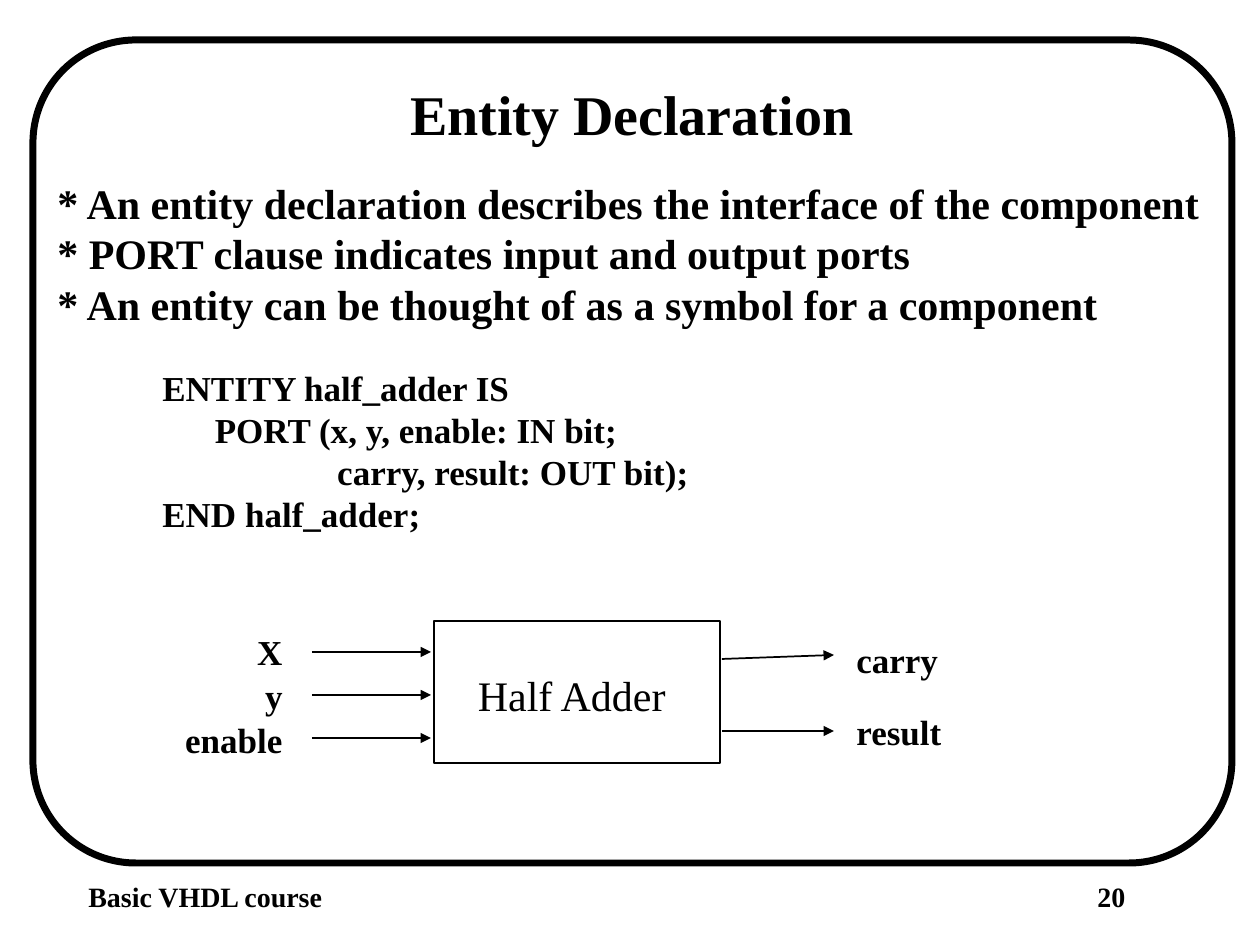
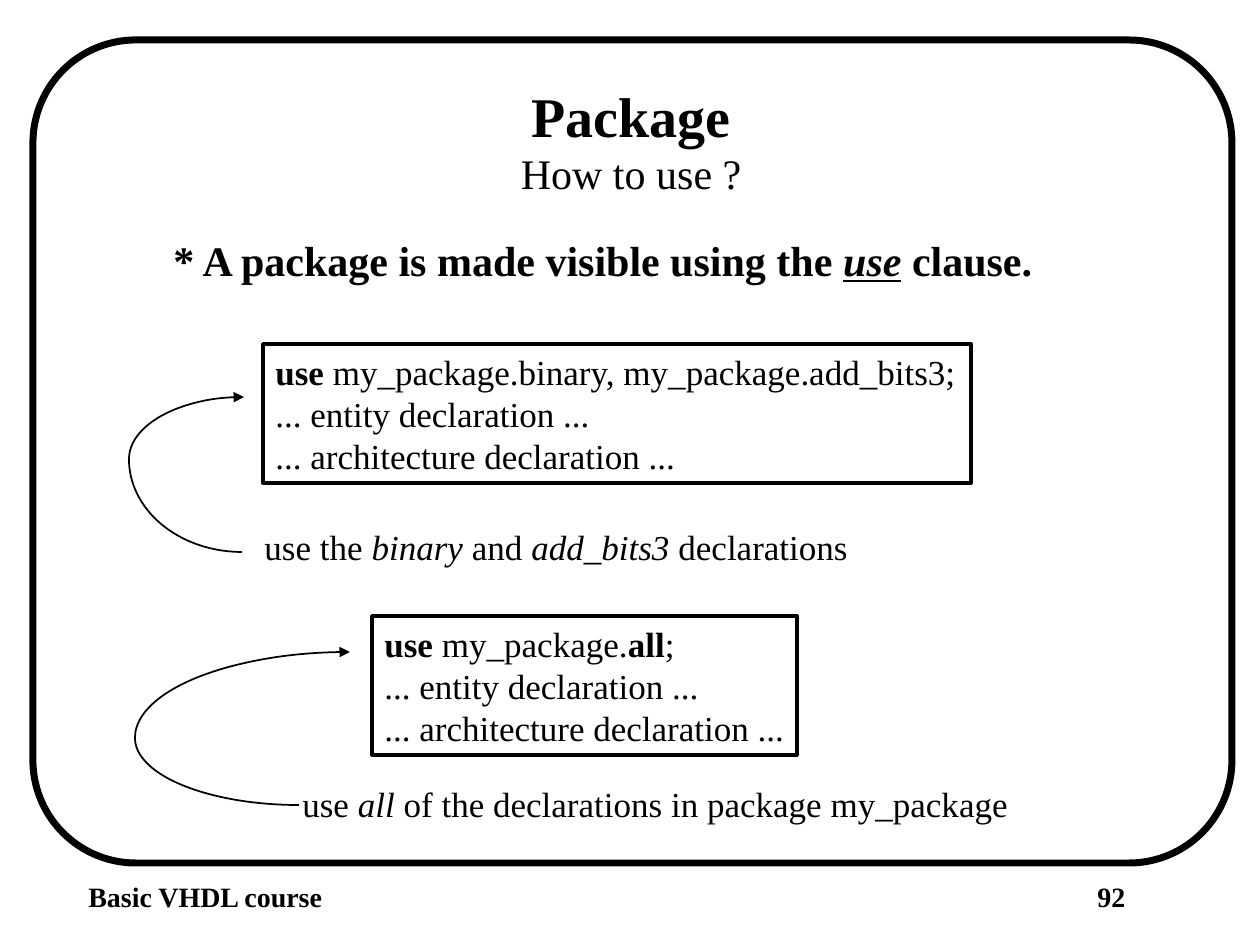
from pptx import Presentation, util as u
from pptx.dml.color import RGBColor
from pptx.enum import shapes, text
from pptx.oxml.ns import qn
from lxml import etree

# Content: a paragraph is a string or a list of (text, flags) runs
COURSE = "Basic VHDL course"
BULLETS = [
    "* An entity declaration describes the interface of the component",
    "* PORT clause indicates input and output ports",
    "* An entity can be thought of as a symbol for a component",
]
ENTITY_CODE = [
    "            ENTITY half_adder IS",
    "                  PORT (x, y, enable: IN bit;",
    "                                carry, result: OUT bit);",
    "            END half_adder;",
]
INPUTS = ["X", "y", "enable"]
OUTPUTS = [("carry", 659, 655), ("result", 731, 731)]  # arrow start and end y
VISIBLE = [[("* A package is made visible using the ", "b"), ("use", "biu"),
            (" clause.", "b")]]
DECLARATIONS = ["... entity declaration ...", "... architecture declaration ..."]
EXAMPLES = [
    dict(code=[("use", "b"), (" my_package.binary, my_package.add_bits3;", "")],
         code_box=(263, 344, 708, 139),
         note=[("use the ", ""), ("binary", "i"), (" and ", ""),
               ("add_bits3 ", "i"), ("declarations", "")],
         note_box=(252, 519, 609, 54),
         bend=(129, 459), tip=(244, 397), tail=(242, 552)),
    dict(code=[("use", "b"), (" my_package.", ""), ("all", "b"), (";", "")],
         code_box=(372, 616, 425, 139),
         note=[("use ", ""), ("all", "i"),
               (" of the declarations in package my_package", "")],
         note_box=(290, 776, 731, 54),
         bend=(135, 738), tip=(350, 652), tail=(299, 805)),
]

# Shared style
COLORS = {"ink": "000000"}
INK = RGBColor.from_string(COLORS["ink"])
FONT = "Times New Roman"
PX = 914400 / 126
TITLE_WIDTH, TITLE_HEIGHT = 800, 79
SHAPE = shapes.MSO_SHAPE
ALIGN = text.PP_ALIGN


def px(*values):
    return [u.Emu(round(v * PX)) for v in values]


def write(sp, paragraphs, size=20, bold=False, align=ALIGN.LEFT,
          anchor=text.MSO_ANCHOR.TOP, first=True, before=0):
    """Fill a shape, or extend it when first is False."""
    tf = sp.text_frame
    tf.word_wrap = False
    tf.auto_size = text.MSO_AUTO_SIZE.NONE
    tf.vertical_anchor = anchor
    for i, runs in enumerate(paragraphs):
        p = tf.paragraphs[0] if first and i == 0 else tf.add_paragraph()
        p.alignment = align
        p.space_before = u.Pt(before if i == 0 else 0)
        for words, flags in [(runs, "")] if isinstance(runs, str) else runs:
            r = p.add_run()
            r.text = words
            r.font.name, r.font.size = FONT, u.Pt(size)
            r.font.bold = bold or "b" in flags
            r.font.italic = "i" in flags
            r.font.underline = "u" in flags
            r.font.color.rgb = INK
    return sp


def label(s, box, paragraphs, **fmt):
    return write(s.shapes.add_textbox(*px(*box)), paragraphs, **fmt)


def outline(s, kind, box, weight):
    sp = s.shapes.add_shape(kind, *px(*box))
    sp.shadow.inherit = False
    sp.fill.background()
    sp.line.color.rgb = INK
    sp.line.width = u.Pt(weight)
    return sp


def arrowhead(sp):
    ln = sp.line._get_or_add_ln()
    etree.SubElement(ln, qn("a:tailEnd"), type="triangle")


def arrow(s, x1, y1, x2, y2):
    c = s.shapes.add_connector(shapes.MSO_CONNECTOR.STRAIGHT, *px(x1, y1, x2, y2))
    c.line.color.rgb = INK
    c.line.width = u.Pt(1)
    arrowhead(c)
    etree.SubElement(c._element.spPr, qn("a:effectLst"))


def quarter(s, bend, end):
    """Quarter ellipse from its leftmost point to its top or bottom point."""
    (x, y), (ex, ey) = bend, end
    rx, ry = ex - x, abs(ey - y)
    sp = outline(s, SHAPE.ARC, (x, y - ry, 2 * rx, 2 * ry), 1)
    start = 180 if ey < y else 90
    for i, degrees in enumerate((start, start + 90)):
        sp.adjustments[i] = degrees * 0.6  # 60000 units per degree, scaled by 100000
    return sp


def new_slide(prs, title, center, top, number):
    s = prs.slides.add_slide(prs.slide_layouts[5])
    frame = outline(s, SHAPE.ROUNDED_RECTANGLE, (33, 40, 1199, 823), 4)
    frame.adjustments[0] = 0.125
    label(s, (76, 873, 261, 45), [COURSE], size=16, bold=True)
    label(s, (1085, 873, 151, 45), [number], size=16, bold=True)
    t = s.shapes.title
    t.left, t.top, t.width, t.height = px(center - TITLE_WIDTH / 2, top,
                                          TITLE_WIDTH, TITLE_HEIGHT)
    write(t, [title], size=32, bold=True, align=ALIGN.CENTER)
    return s


def entity_slide(prs):
    s = new_slide(prs, "Entity Declaration", 632, 73, "20")
    body = label(s, (45, 171, 1169, 369), BULLETS, size=24, bold=True)
    write(body, ENTITY_CODE, bold=True, first=False, before=22)

    # Half adder symbol with its ports
    adder = outline(s, SHAPE.RECTANGLE, (434, 621, 286, 142), 1)
    write(adder, ["Half Adder"], size=24, align=ALIGN.CENTER,
          anchor=text.MSO_ANCHOR.MIDDLE)
    # Nudge the name slightly left and down inside the symbol
    adder.text_frame.margin_right, adder.text_frame.margin_top = px(23, 12)
    for i, name in enumerate(INPUTS):
        y = 652 + 43 * i
        label(s, (173, 624 + 44 * i, 122, 54), [name], bold=True, align=ALIGN.RIGHT)
        arrow(s, 312, y, 431, y)
    for name, y1, y2 in OUTPUTS:
        label(s, (844, y1 - 27, 111, 54), [name], bold=True)
        arrow(s, 722, y1, 834, y2)


def package_slide(prs):
    s = new_slide(prs, "Package", 631, 75, "92")
    label(s, (508, 141, 246, 63), ["How to use ?"], size=24, align=ALIGN.CENTER)
    label(s, (161, 228, 888, 63), VISIBLE, size=24)

    # Each example: code box, explanation and curved arrow between them
    for ex in EXAMPLES:
        code = outline(s, SHAPE.RECTANGLE, ex["code_box"], 2)
        write(code, [ex["code"]] + DECLARATIONS)
        label(s, ex["note_box"], [ex["note"]])
        quarter(s, ex["bend"], ex["tail"])
        arrowhead(quarter(s, ex["bend"], ex["tip"]))


def main():
    prs = Presentation()
    prs.slide_width, prs.slide_height = px(1260, 945)
    entity_slide(prs)
    package_slide(prs)
    prs.save("out.pptx")


if __name__ == "__main__":
    main()
